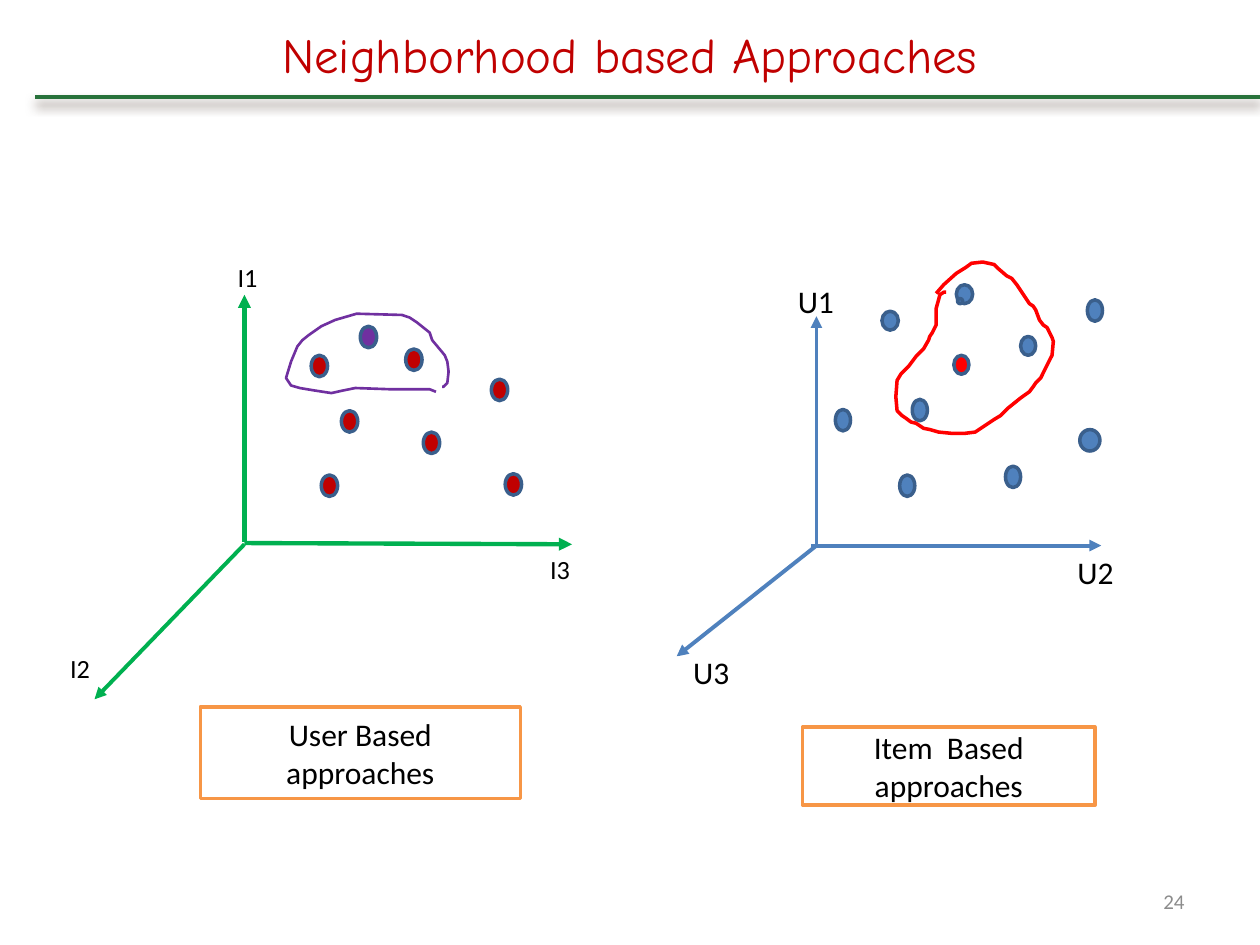
from lxml import etree
from pptx import Presentation
from pptx.dml.color import RGBColor
from pptx.enum.shapes import MSO_CONNECTOR, MSO_SHAPE
from pptx.enum.text import MSO_ANCHOR, PP_ALIGN
from pptx.oxml.ns import qn
from pptx.util import Inches, Pt

STRAIGHT = MSO_CONNECTOR.STRAIGHT
OVAL, RECT = MSO_SHAPE.OVAL, MSO_SHAPE.RECTANGLE
LEFT, CENTER, RIGHT = PP_ALIGN.LEFT, PP_ALIGN.CENTER, PP_ALIGN.RIGHT
MIDDLE = MSO_ANCHOR.MIDDLE

COLORS = {
    "title": "C00000", "rule": "28723B", "shadow": "4E3B30", "text": "000000",
    "number": "8C8C8C", "white": "FFFFFF", "box": "F79646", "blue": "4F81BD",
    "dot_line": "3A5F8C", "red": "FF0000", "dark_red": "C00000",
    "green": "00B050", "purple": "7030A0",
}

# Content: axes are (from, to, width), dots (left, top, width, height, colour),
# labels (text, left, top, fill)
ITEM_PLOT = {
    "axis_color": "blue",
    "axes": [((6.48, 4.33), (6.48, 2.51), 2.25), ((6.44, 4.33), (8.74, 4.33), 2.25),
             ((6.48, 4.33), (5.37, 5.21), 2.25)],
    "dots": [(7.24, 3.17, 0.12, 0.17, "blue"), (7.57, 2.82, 0.12, 0.15, "red"),
             (7.14, 3.77, 0.12, 0.17, "blue"), (7, 2.47, 0.13, 0.15, "blue"),
             (6.63, 3.25, 0.12, 0.17, "blue"), (7.98, 3.7, 0.12, 0.17, "blue"),
             (8.1, 2.67, 0.12, 0.15, "blue"), (7.59, 2.26, 0.13, 0.15, "blue"),
             (8.57, 3.41, 0.16, 0.17, "blue"), (8.63, 2.38, 0.12, 0.17, "blue"),
             (7.6, 2.37, 0.04, 0.04, "blue")],
    "outline": ("red", 2, [
        (7.43, 2.33), (7.49, 2.26), (7.59, 2.17), (7.67, 2.12), (7.71, 2.09),
        (7.8, 2.08), (7.89, 2.1), (7.92, 2.13), (7.99, 2.19), (8.03, 2.21),
        (8.07, 2.26), (8.13, 2.35), (8.17, 2.41), (8.2, 2.43), (8.22, 2.46),
        (8.25, 2.54), (8.28, 2.58), (8.31, 2.6), (8.35, 2.68), (8.36, 2.71),
        (8.35, 2.82), (8.33, 2.86), (8.28, 2.96), (8.26, 3), (8.22, 3.04),
        (8.2, 3.07), (8.17, 3.11), (8.1, 3.16), (8, 3.24), (7.94, 3.3),
        (7.89, 3.33), (7.83, 3.37), (7.74, 3.43), (7.66, 3.44), (7.55, 3.44),
        (7.45, 3.43), (7.38, 3.41), (7.33, 3.4), (7.27, 3.36), (7.23, 3.35),
        (7.19, 3.32), (7.16, 3.3), (7.12, 3.26), (7.11, 3.15), (7.12, 3.02),
        (7.15, 2.97), (7.21, 2.91), (7.27, 2.83), (7.33, 2.77), (7.37, 2.7),
        (7.38, 2.67), (7.4, 2.64), (7.43, 2.58), (7.43, 2.45), (7.46, 2.34),
        (7.49, 2.32), (7.51, 2.32)]),
    "labels": [("U1", 6.19, 2.26, "white"), ("U3", 5.36, 5.21, "white"),
               ("U2", 8.41, 4.41, "white")],
    "label_width": 0.57, "label_size": 18,
}
USER_PLOT = {
    "axis_color": "green",
    "axes": [((1.94, 4.31), (4.54, 4.32), 2.5), ((1.94, 4.3), (1.94, 2.34), 2.5),
             ((1.94, 4.32), (0.75, 5.55), 2.25)],
    "dots": [(x, y, 0.13, 0.17, color) for x, y, color in [
        (3.22, 2.77, "dark_red"), (3.36, 3.43, "dark_red"), (2.71, 3.26, "dark_red"),
        (2.55, 3.77, "dark_red"), (4.01, 3.76, "dark_red"), (3.9, 3.01, "dark_red"),
        (2.86, 2.59, "purple"), (2.47, 2.82, "dark_red")]],
    "outline": ("purple", 1.5, [
        (3.46, 3.11), (3.41, 3.09), (3.1, 3.09), (2.82, 3.08), (2.72, 3.1),
        (2.63, 3.12), (2.5, 3.1), (2.38, 3.08), (2.31, 3.06), (2.27, 3),
        (2.31, 2.87), (2.36, 2.75), (2.4, 2.7), (2.45, 2.66), (2.55, 2.59),
        (2.66, 2.54), (2.83, 2.49), (3.19, 2.5), (3.25, 2.52), (3.31, 2.56),
        (3.41, 2.64), (3.43, 2.7), (3.48, 2.76), (3.53, 2.82), (3.55, 2.87),
        (3.56, 2.95), (3.55, 3.04), (3.52, 3.07), (3.51, 3.07)]),
    "labels": [("I1", 1.66, 2.07, "white"), ("I2", 0.33, 5.18, None),
               ("I3", 4.14, 4.39, "white")],
    "label_width": 0.61, "label_size": 15,
}
CAPTIONS = [("User Based approaches", (1.59, 5.61, 2.54, 0.73)),
            ("Item  Based approaches", (6.37, 5.77, 2.32, 0.62))]


def rgb(name):
    return RGBColor.from_string(COLORS[name])


def set_line(s, color, width):
    s.line.color.rgb = rgb(color)
    s.line.width = Pt(width)


def set_text(s, text, size=18, color="text", font="Calibri", align=CENTER, spacing=None):
    tf = s.text_frame
    tf.word_wrap = True
    tf.vertical_anchor = MIDDLE
    tf.margin_left = tf.margin_right = Inches(0.1)
    tf.margin_top = tf.margin_bottom = Inches(0.05)
    p = tf.paragraphs[0]
    p.alignment = align
    p.line_spacing = spacing
    r = p.add_run()
    r.text = text
    r.font.size, r.font.name, r.font.color.rgb = Pt(size), font, rgb(color)


def add_shape(shapes, kind, box, fill=None, line=None, width=2):
    s = shapes.add_shape(kind, *map(Inches, box))
    s.shadow.inherit = False
    if fill:
        s.fill.solid()
        s.fill.fore_color.rgb = rgb(fill)
    else:
        s.fill.background()
    if line:
        set_line(s, line, width)
    else:
        s.line.fill.background()
    return s


def add_line(shapes, start, end, color, width, arrow=False):
    s = shapes.add_connector(STRAIGHT, *map(Inches, start + end))
    set_line(s, color, width)
    if arrow:
        etree.SubElement(s.line._get_or_add_ln(), qn("a:tailEnd"), type="triangle")
    return etree.SubElement(s._element.spPr, qn("a:effectLst"))


def add_plot(shapes, plot):
    group = shapes.add_group_shape().shapes
    for start, end, width in plot["axes"]:
        add_line(group, start, end, plot["axis_color"], width, arrow=True)
    for *box, color in plot["dots"]:
        add_shape(group, OVAL, box, color, "dot_line")
    # Hand-drawn neighborhood
    color, width, points = plot["outline"]
    first, *rest = [(Inches(x), Inches(y)) for x, y in points]
    builder = group.build_freeform(*first)
    builder.add_line_segments(rest, close=False)
    s = builder.convert_to_shape()
    s.shadow.inherit = False
    s.fill.background()
    set_line(s, color, width)
    for text, x, y, fill in plot["labels"]:
        s = add_shape(group, RECT, (x, y, plot["label_width"], 0.25), fill)
        set_text(s, text, size=plot["label_size"])


prs = Presentation()
prs.slide_width, prs.slide_height = Inches(10), Inches(7.5)
slide = prs.slides.add_slide(prs.slide_layouts[5])
shapes = slide.shapes

# Title
title = shapes.title
title.left, title.top, title.width, title.height = map(Inches, (2.14, 0.22, 6.38, 0.47))
set_text(title, "Neighborhood based Approaches", size=28, color="title",
         font="Comic Neue", align=LEFT, spacing=0.9)

# Plots and captions
for plot in (ITEM_PLOT, USER_PLOT):
    add_plot(shapes, plot)
for text, box in CAPTIONS:
    set_text(add_shape(shapes, RECT, box, "white", "box"), text)

# Rule under the title, with a soft shadow
effects = add_line(shapes, (0.28, 0.77), (10, 0.77), "rule", 2.25)
shadow = etree.SubElement(effects, qn("a:outerShdw"), blurRad=str(Pt(6)),
                          dist=str(Pt(4)), dir="5400000", rotWithShape="0")
tint = etree.SubElement(shadow, qn("a:srgbClr"), val=COLORS["shadow"])
etree.SubElement(tint, qn("a:alpha"), val="60000")

# Slide number
number = shapes.add_textbox(*map(Inches, (7.17, 6.95, 2.33, 0.4)))
set_text(number, "24", size=12, color="number", align=RIGHT)

prs.save("out.pptx")
